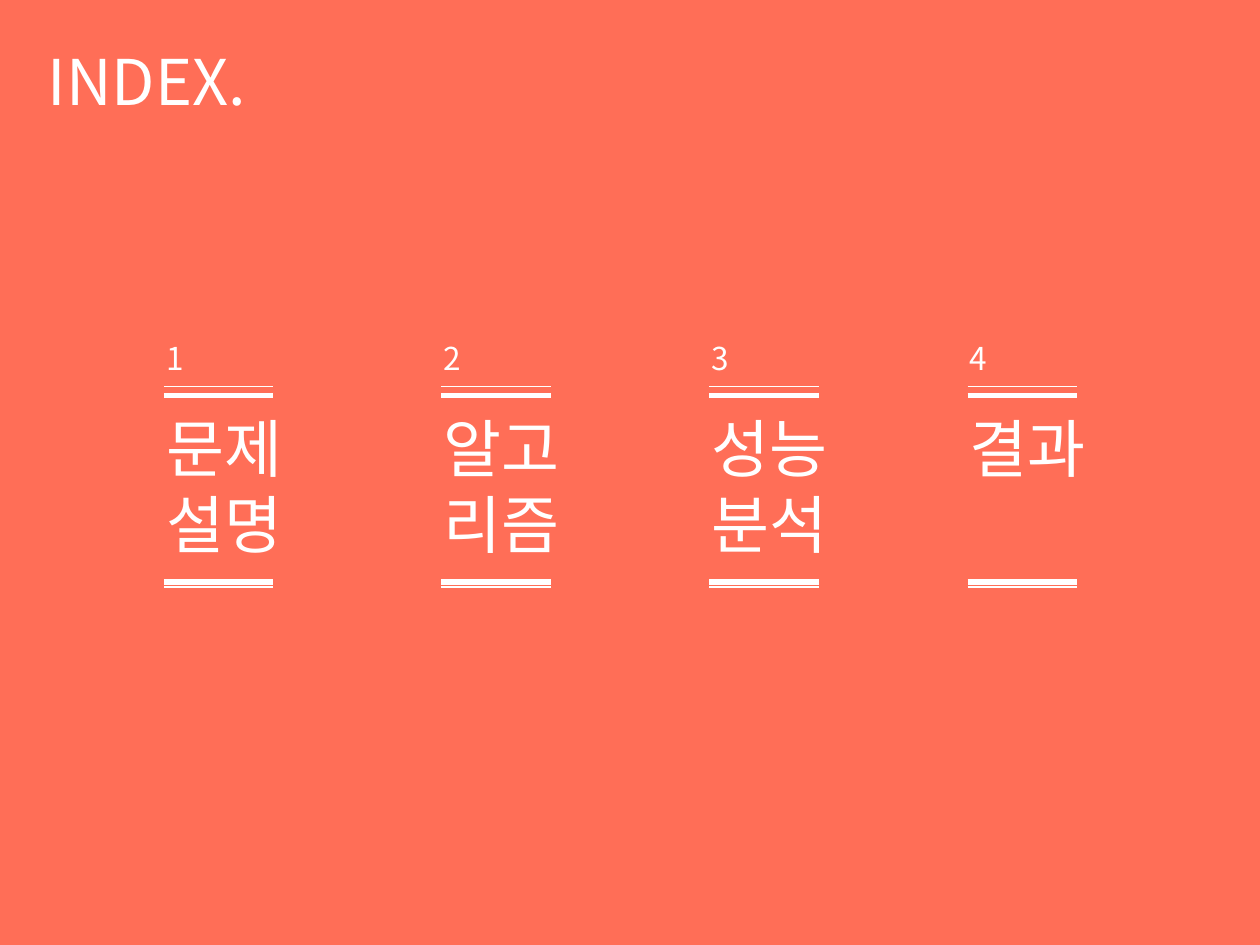
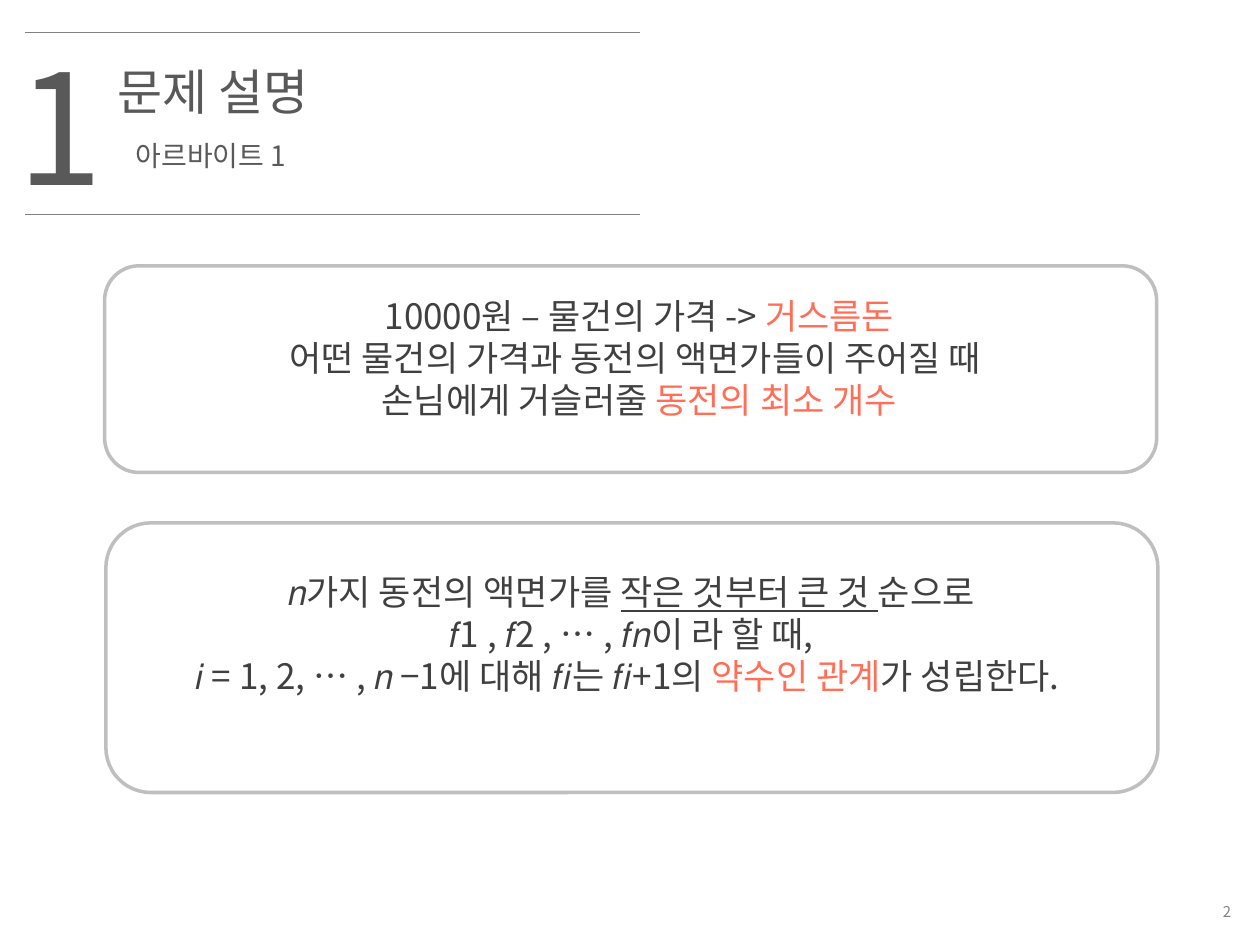
from lxml import etree
from pptx import Presentation
from pptx import util as u
from pptx.dml.color import RGBColor
from pptx.enum import shapes, text
from pptx.oxml import ns

FONT = "Noto Sans CJK KR"
CORAL, WHITE = "FF6E57", "FFFFFF"
DARK, GREY, MID, PALE = "404040", "595959", "808080", "BFBFBF"
COLS, ROWS = 100, 75
LEFT, MIDDLE, RIGHT = text.PP_ALIGN.LEFT, text.PP_ALIGN.CENTER, text.PP_ALIGN.RIGHT


def rgb(code):
    return RGBColor.from_string(code)


class Deck:
    """Slides on a grid of 100 columns and 75 rows, in one shared style."""

    def __init__(self):
        self.prs = Presentation()
        self.prs.slide_width, self.prs.slide_height = u.Inches(10), u.Inches(7.5)

    def grid(self, *vals):
        size = self.prs.slide_width / COLS, self.prs.slide_height / ROWS
        return [round(val * size[i % 2]) for i, val in enumerate(vals)]

    def page(self, back=WHITE):
        self.slide = self.prs.slides.add_slide(self.prs.slide_layouts[5])
        fill = self.slide.background.fill
        fill.solid()
        fill.fore_color.rgb = rgb(back)

    def style(self, run, size, color, line=False):
        font = run.font
        font.size, font.name = u.Pt(size), FONT
        font.color.rgb = rgb(color)
        if line:
            font.underline = True
        east = etree.SubElement(run._r.get_or_add_rPr(), ns.qn("a:ea"))
        east.set("typeface", FONT)

    def label(self, shape, words, size, color, align=LEFT):
        frame = shape.text_frame
        frame.word_wrap = True
        frame.auto_size = text.MSO_AUTO_SIZE.NONE
        frame.vertical_anchor = text.MSO_ANCHOR.TOP
        frame.text = words
        for para in frame.paragraphs:
            para.alignment = align
            for run in para.runs:
                self.style(run, size, color)
        return frame

    def title(self, at, words, size, color):
        shape = self.slide.shapes.title
        shape.left, shape.top, shape.width, shape.height = self.grid(*at)
        self.label(shape, words, size, color)

    def text(self, at, words, size, color, align=LEFT):
        box = self.slide.shapes.add_textbox(*self.grid(*at))
        return self.label(box, words, size, color, align)

    def rich(self, at, rows, size=20):
        frame = self.text(at, "", size, DARK)
        for i, row in enumerate(rows):
            para = frame.add_paragraph() if i else frame.paragraphs[0]
            para.alignment = MIDDLE
            for words, *look in row:
                run = para.add_run()
                run.text = words
                self.style(run, size, CORAL if "hot" in look else DARK, "line" in look)

    def rule(self, x, y, wide, color, width=0.75):
        ends = self.grid(x, y, x + wide, y)
        line = self.slide.shapes.add_connector(shapes.MSO_CONNECTOR.STRAIGHT, *ends)
        line.line.color.rgb = rgb(color)
        line.line.width = u.Pt(width)
        etree.SubElement(line._element.spPr, ns.qn("a:effectLst"))

    def frame(self, at):
        kind = shapes.MSO_SHAPE.ROUNDED_RECTANGLE
        box = self.slide.shapes.add_shape(kind, *self.grid(*at))
        box.shadow.inherit = False
        box.fill.background()
        box.line.color.rgb = rgb(PALE)
        box.line.width = u.Pt(2)

    def number(self):
        page = str(len(self.prs.slides))
        frame = self.text((77.6, 71, 21.1, 2.7), page, 8.5, MID, RIGHT)
        frame.vertical_anchor = text.MSO_ANCHOR.MIDDLE
        run = frame.paragraphs[0].runs[0]._r
        run.tag = ns.qn("a:fld")
        run.set("id", "{B6F15528-21DE-4FAA-801E-634DDDAF4B2B}")
        run.set("type", "slidenum")

    def head(self, num, words, note):
        self.title((8.3, 4.4, 44.9, 5.7), words, 28, GREY)
        sub = self.text((9.8, 10.8, 45.7, 3.4), note, 16, GREY)
        sub.paragraphs[0].line_spacing = u.Pt(17)
        self.text((0.4, 2, 29.9, 15.8), num, 88, GREY)
        for y in (2.6, 17):
            self.rule(2, y, 48.8, MID)
        self.number()


deck = Deck()

deck.page(CORAL)
deck.title((2.8, 2.9, 33.9, 7.1), "INDEX.", 36, WHITE)
topics = [(13, "문제\n설명"), (35, "알고리즘"), (56.3, "성능\n분석"), (76.8, "결과")]
for num, (x, topic) in enumerate(topics, 1):
    deck.text((x - 0.8, 26.4, 12.6, 4), str(num), 18, WHITE)
    deck.text((x - 0.8, 32, 12.6, 13.1), topic, 36, WHITE)
    for y, width in ((30.7, 0.75), (31.4, 3), (46.2, 3), (46.6, 0.75)):
        deck.rule(x, y, 8.7, WHITE, width)

deck.page()
deck.head("1", "문제 설명", "아르바이트 1")
deck.rich((14.4, 22.9, 72.7, 14.5), [
    [("10000원 – 물건의 가격 -> ",), ("거스름돈", "hot")],
    [("어떤 물건의 가격과 동전의 액면가들이 주어질 때 ",)],
    [("손님에게 거슬러줄 ",), ("동전의 최소 개수", "hot")],
])
deck.rich((4.6, 44.8, 91, 11.1), [
    [("𝑛가지 동전의 액면가를 ",), ("작은 것부터 큰 것 ", "line"), ("순으로",)],
    [(" 𝑓1 , 𝑓2 , … , 𝑓𝑛이 라 할 때, ",)],
    [("𝑖 = 1, 2, … , 𝑛 −1에 대해 𝑓𝑖는 𝑓𝑖+1의 ",), ("약수인 관계", "hot"), ("가 성립한다. ",)],
])
deck.frame((8.3, 21.1, 83.5, 16.4))
deck.frame((8.4, 41.5, 83.5, 21.4))

deck.prs.save("out.pptx")
